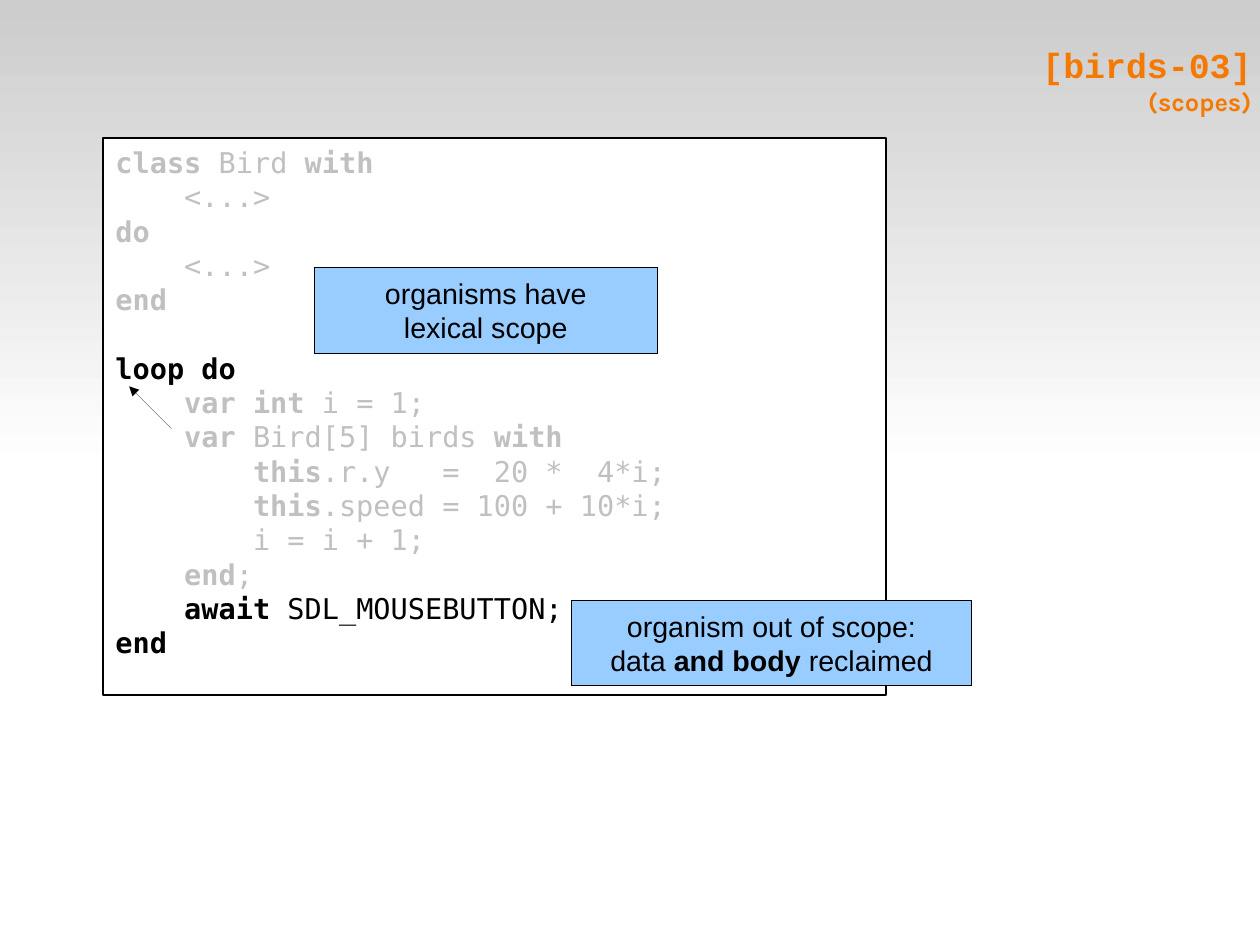
import pptx
import pptx.dml.color
import pptx.enum.shapes
import pptx.enum.text
import pptx.oxml
import pptx.oxml.ns
import pptx.util
from pptx.util import Inches

# The page is 28 by 21 cm
PAGE_WIDTH = Inches(28 / 2.54)
PAGE_HEIGHT = Inches(21 / 2.54)
COLORS = {
    "black": "000000",
    "white": "FFFFFF",
    "backdrop": "CCCCCC",
    "dimmed": "C0C0C0",
    "note": "99CCFF",
    "heading": "F57900",
}
ALIGN = pptx.enum.text.PP_ALIGN
ANCHOR = pptx.enum.text.MSO_ANCHOR

# Each "|" switches bold on or off
CODE = [
    ("|class| Bird |with", "dimmed"),
    ("    <...>", "dimmed"),
    ("|do", "dimmed"),
    ("    <...>", "dimmed"),
    ("|end", "dimmed"),
    ("|loop do", "black"),
    ("|    var int| i = 1;", "dimmed"),
    ("|    var |Bird[5] birds |with", "dimmed"),
    ("        |this|.r.y   =  20 *  4*i;", "dimmed"),
    ("        |this|.speed = 100 + 10*i;", "dimmed"),
    ("        i = i + 1;", "dimmed"),
    ("|    end|;", "dimmed"),
    ("    |await |SDL_MOUSEBUTTON;", "black"),
    ("|end", "black"),
]


def rgb(name):
    return pptx.dml.color.RGBColor.from_string(COLORS[name])


def write_line(para, text, font, size, color, align):
    para.alignment = align
    for index, piece in enumerate(text.split("|")):
        if piece:
            span = para.add_run()
            span.text = piece
            span.font.name = font
            span.font.size = pptx.util.Pt(size)
            span.font.bold = index % 2 == 1
            span.font.color.rgb = rgb(color)


def next_para(frame, index):
    return frame.add_paragraph() if index else frame.paragraphs[0]


def set_frame(frame, anchor, side, edge, wrap):
    frame.vertical_anchor = anchor
    frame.margin_left = frame.margin_right = Inches(side)
    frame.margin_top = frame.margin_bottom = Inches(edge)
    frame.word_wrap = wrap


def set_line(line, width):
    line.color.rgb = rgb("black")
    # A hairline needs its zero width written out
    line._get_or_add_ln().set("w", str(pptx.util.Pt(width)))


def add_panel(page, left, top, width, height, fill):
    box = page.shapes.add_shape(
        pptx.enum.shapes.MSO_SHAPE.RECTANGLE,
        Inches(left), Inches(top), Inches(width), Inches(height))
    box.shadow.inherit = False
    box.fill.solid()
    box.fill.fore_color.rgb = rgb(fill)
    return box


def add_backdrop(page):
    box = add_panel(page, 0, 0, 11.02, 4.13, "backdrop")
    box.width = PAGE_WIDTH
    box.line.fill.background()
    box.fill.gradient()
    box.fill.gradient_angle = 270
    for position, color in enumerate(("backdrop", "white")):
        stop = box.fill.gradient_stops[position]
        stop.color.rgb = rgb(color)
        stop.position = position


def add_code(page):
    box = add_panel(page, 0.9, 1.21, 6.85, 4.87, "white")
    set_line(box.line, 1.45)
    frame = box.text_frame
    set_frame(frame, ANCHOR.TOP, 0.11, 0.06, True)
    for index, (text, color) in enumerate(CODE):
        para = next_para(frame, index)
        write_line(para, text, "DejaVu Sans Mono", 18, color, ALIGN.LEFT)
        if text == "|loop do":
            para.space_before = pptx.util.Pt(21.6)


def add_note(page, left, top, width, lines):
    box = add_panel(page, left, top, width, 0.75, "note")
    set_line(box.line, 0)
    frame = box.text_frame
    set_frame(frame, ANCHOR.MIDDLE, 0.1, 0.05, False)
    for index, text in enumerate(lines):
        write_line(next_para(frame, index), text, "Arial", 18, "black", ALIGN.CENTER)


def add_arrow(page, start, end):
    arrow = page.shapes.add_connector(
        pptx.enum.shapes.MSO_CONNECTOR.STRAIGHT,
        *(Inches(value) for value in start + end))
    set_line(arrow.line, 0)
    namespace = pptx.oxml.ns.nsdecls("a")
    arrow.line._get_or_add_ln().append(
        pptx.oxml.parse_xml(f'<a:tailEnd {namespace} type="triangle"/>'))
    arrow._element.spPr.append(pptx.oxml.parse_xml(f"<a:effectLst {namespace}/>"))


def add_heading(page):
    box = page.shapes.add_textbox(
        Inches(1.03), Inches(0.01), Inches(9.92), Inches(1.38))
    frame = box.text_frame
    set_frame(frame, ANCHOR.MIDDLE, 0, 0, True)
    para = frame.paragraphs[0]
    write_line(para, "|[birds-03]", "Courier New", 22, "heading", ALIGN.RIGHT)
    para.add_line_break()
    write_line(para, "|(scopes)", "Karla", 16, "heading", ALIGN.RIGHT)


def main():
    deck = pptx.Presentation()
    deck.slide_width = PAGE_WIDTH
    deck.slide_height = PAGE_HEIGHT
    page = deck.slides.add_slide(deck.slide_layouts[6])
    page.background.fill.solid()
    page.background.fill.fore_color.rgb = rgb("white")

    add_backdrop(page)
    add_code(page)
    add_note(page, 2.75, 2.34, 3, ["organisms have", "lexical scope"])
    add_arrow(page, (1.5, 3.75), (1.13, 3.38))
    add_note(page, 5, 5.25, 3.5,
             ["organism out of scope:", "data |and body |reclaimed"])
    add_heading(page)
    deck.save("out.pptx")


if __name__ == "__main__":
    main()
